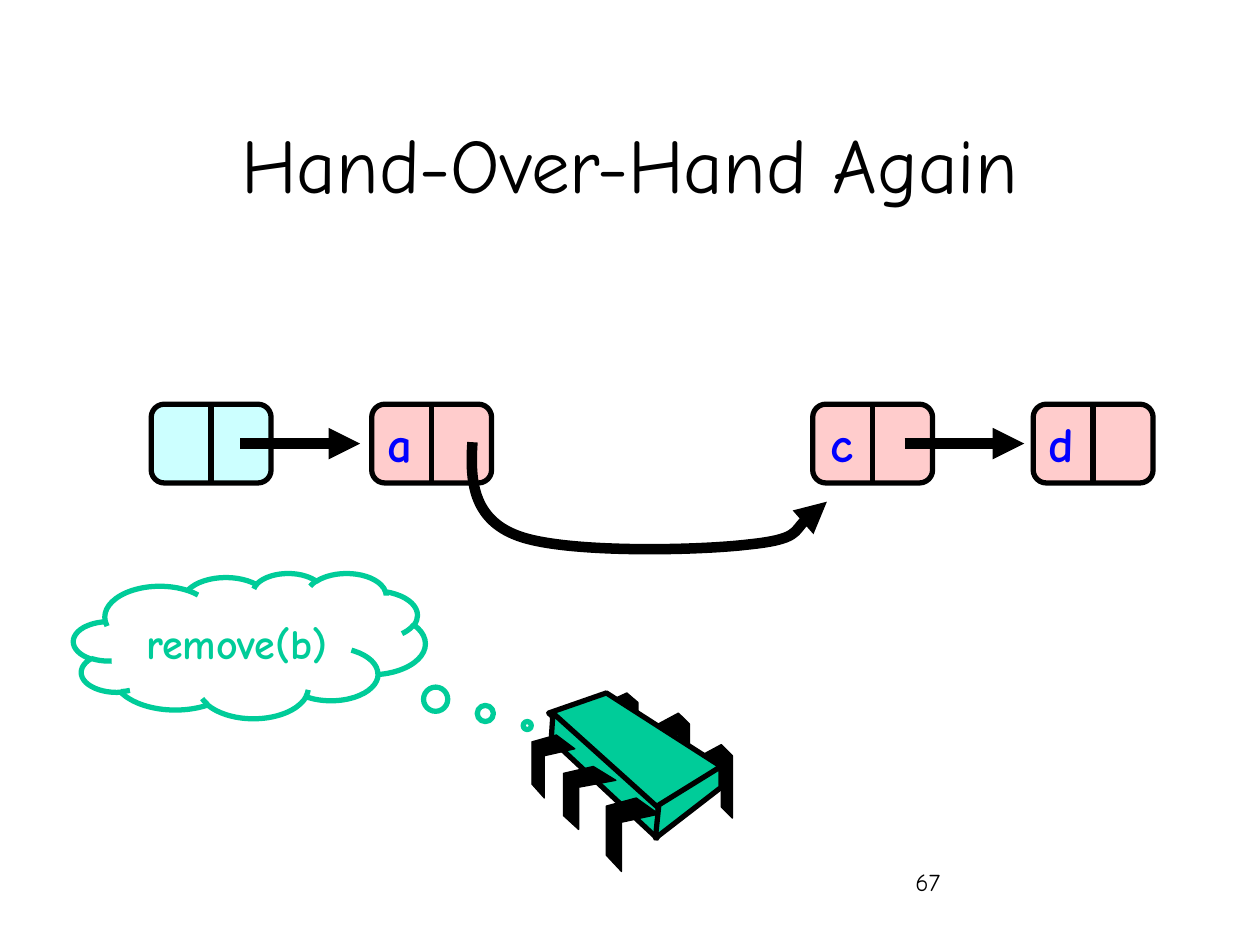
from lxml.etree import SubElement
from pptx import Presentation
from pptx.dml.color import RGBColor
from pptx.enum.shapes import MSO_CONNECTOR, MSO_SHAPE
from pptx.enum.text import MSO_ANCHOR, MSO_AUTO_SIZE, PP_ALIGN
from pptx.oxml.ns import qn
from pptx.util import Pt

BLACK = RGBColor(0x00, 0x00, 0x00)
GREEN = RGBColor(0x00, 0xCC, 0x99)
BLUE = RGBColor(0x00, 0x00, 0xFF)
PINK = RGBColor(0xFF, 0xCC, 0xCC)
CYAN = RGBColor(0xCC, 0xFF, 0xFF)

BACK = [(0, .15), (.65, 0), (1, .15), (1, 1), (.65, .85), (.65, .29), (0, .43)]
FRONT = [(.57, 0), (1, .22), (.29, .33), (.29, 1), (0, .78), (0, .11)]


def apply(item, form):
    for key, value in form.items():
        setattr(item, key, value)


def write(shape, text, size, color=BLACK, bold=False, align=PP_ALIGN.LEFT, **frame):
    apply(shape.text_frame, {"word_wrap": True, **frame})
    par = shape.text_frame.paragraphs[0]
    par.text = text
    par.alignment = align
    apply(par.font, {"name": "Comic Neue", "size": Pt(size), "bold": bold})
    par.font.color.rgb = color


def label(slide, box, text, size, **form):
    write(slide.shapes.add_textbox(*map(Pt, box)), text, size, **form)


def stroke(line, width, color=BLACK):
    line.color.rgb = color
    line.width = Pt(width)


def style(shape, fill, width, color=BLACK):
    shape.shadow.inherit = False
    if fill is None:
        shape.fill.background()
    else:
        shape.fill.solid()
        shape.fill.fore_color.rgb = fill
    stroke(shape.line, width, color)


def join(slide, start, end, width):
    link = slide.shapes.add_connector(MSO_CONNECTOR.STRAIGHT, *map(Pt, start + end))
    stroke(link.line, width)
    SubElement(link._element.spPr, qn("a:effectLst"))
    return link


def tip(shape):
    SubElement(shape.line._get_or_add_ln(), qn("a:tailEnd"), type="triangle")


def outline(slide, left, top, points, close=True):
    spots = [(Pt(left + x), Pt(top + y)) for x, y in points]
    path = slide.shapes.build_freeform(*spots[0])
    path.add_line_segments(spots[1:], close=close)
    return path.convert_to_shape()


def node(slide, left, top, wide, high, fill, text):
    box = slide.shapes.add_shape(
        MSO_SHAPE.ROUNDED_RECTANGLE, *map(Pt, (left, top, wide, high)))
    style(box, fill, 3)
    mid = left + wide / 2
    split = join(slide, (mid, top), (mid, top + high), 3)
    split.begin_connect(box, 0)
    split.end_connect(box, 2)
    if text:
        label(slide, (left + 0.5, top + 1.5, 30, 41), text, 28, color=BLUE,
              bold=True, align=PP_ALIGN.RIGHT, word_wrap=False,
              auto_size=MSO_AUTO_SIZE.SHAPE_TO_FIT_TEXT)


def chain(slide, left, top, step, wide, high):
    for slot, fill, text in [(0, CYAN, ""), (1, PINK, "a"), (3, PINK, "c"), (4, PINK, "d")]:
        node(slide, left + slot * step, top, wide, high, fill, text)
    for start in (left + 51, left + 430.5):
        tip(join(slide, (start, top + 22.5), (start + 68.4, top + 22.5), 6))


def bypass(slide, left, top):
    points = [(1.5, 0), (0, 21.6), (1.5, 44), (27.5, 53.5), (54, 63.5),
              (129.5, 62), (159, 58.5), (188.5, 55.5), (194.5, 39), (204, 34)]
    curve = outline(slide, left, top, points, False)
    style(curve, None, 6)
    tip(curve)
    lines = list(curve._element.iter(qn("a:lnTo")))
    for first in range(0, len(lines), 3):
        bend = SubElement(lines[0].getparent(), qn("a:cubicBezTo"))
        for line in lines[first:first + 3]:
            bend.append(line[0])
    for line in lines:
        line.getparent().remove(line)


def legs(slide, left, top, form, boxes):
    for x, y, wide, high in boxes:
        points = [(x + u * wide, y + v * high) for u, v in form]
        style(outline(slide, left, top, points), BLACK, 0.75)


def chip(slide, left, top):
    legs(slide, left, top, BACK,
         [(96.5, 29.5, 18, 42), (72, 11.5, 18, 42), (42.5, 0, 18, 36)])
    faces = [
        [(42.5, 0), (108, 42), (71.5, 67), (9.5, 11.5)],
        [(12, 11.5), (72, 65.5), (71.5, 83), (11, 26.5)],
        [(108, 42), (108, 54), (70.5, 83), (72.5, 64)],
    ]
    for face in faces:
        style(outline(slide, left, top, face), GREEN, 3)
    legs(slide, left, top, FRONT,
         [(42.5, 60, 30, 42), (18, 42, 30, 36), (0, 24, 24.5, 36)])


def thought(slide, box, text):
    cloud = slide.shapes.add_shape(MSO_SHAPE.CLOUD_CALLOUT, *map(Pt, box))
    cloud.adjustments[0] = 0.79
    cloud.adjustments[1] = 0.55
    style(cloud, None, 3, GREEN)
    write(cloud, text, 24, GREEN, True, PP_ALIGN.CENTER,
          vertical_anchor=MSO_ANCHOR.MIDDLE)


def main():
    deck = Presentation()
    apply(deck, {"slide_width": Pt(720), "slide_height": Pt(540)})
    slide = deck.slides.add_slide(deck.slide_layouts[6])
    label(slide, (516, 492, 150, 36), "67", 14)
    label(slide, (54, 48, 612, 90), "Hand-Over-Hand Again", 44,
          align=PP_ALIGN.CENTER, vertical_anchor=MSO_ANCHOR.MIDDLE)
    chain(slide, 86.4, 231, 126, 68.5, 45)
    chip(slide, 304, 396)
    bypass(slide, 268.5, 252.7)
    thought(slide, (42, 327.5, 201, 83), "remove(b)")
    deck.save("out.pptx")


if __name__ == "__main__":
    main()
